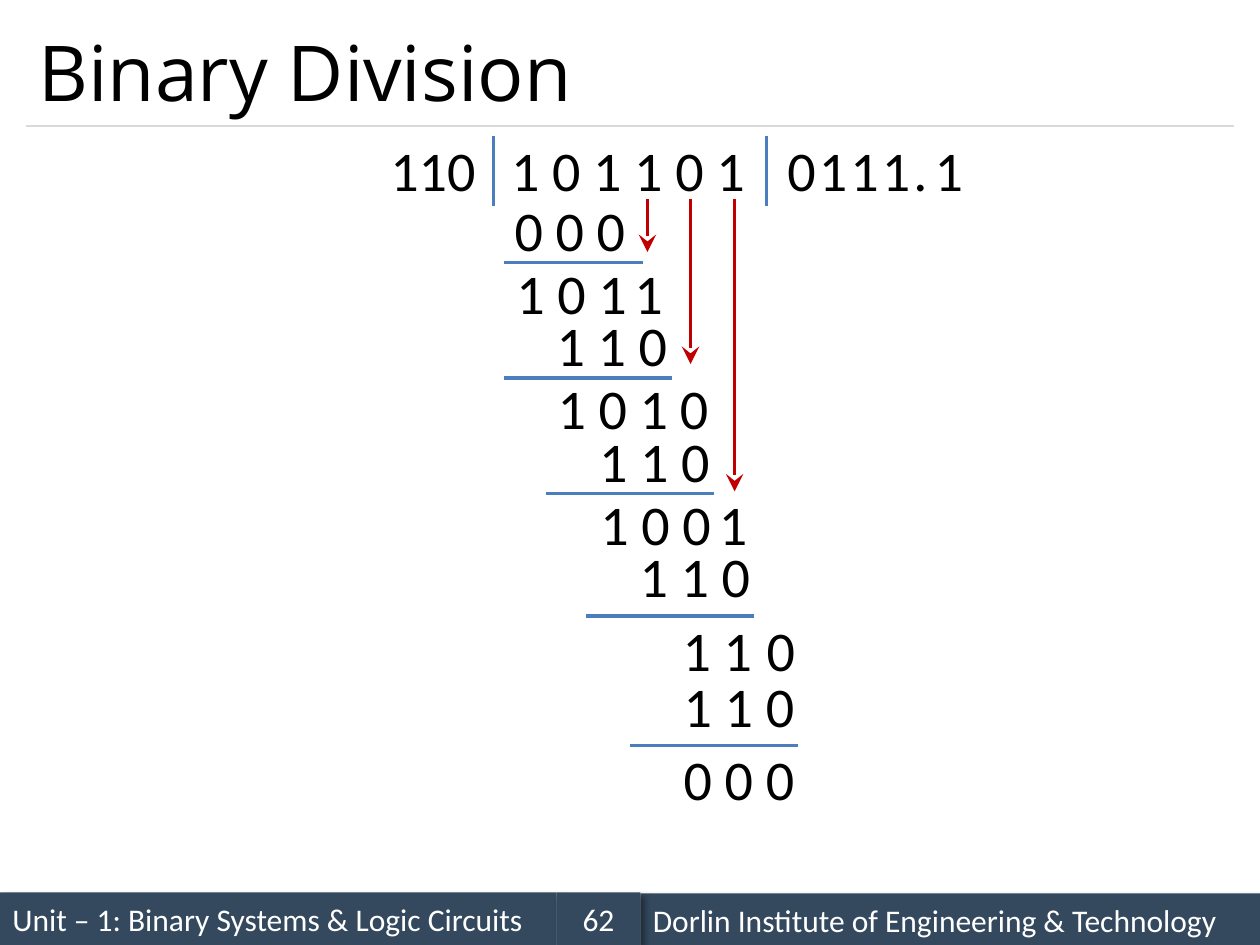
from lxml import etree
from pptx import Presentation
from pptx.dml.color import RGBColor
from pptx.enum import shapes, text
from pptx.oxml import ns
from pptx.util import Pt

COLORS = {"ink": "000000", "bar": "34495E", "light": "FFFFFF",
          "divider": "D9D9D9", "rule": "4B7EBC", "arrow": "C00000"}
DIGIT_WIDTH, DIGIT_STEP, DIGIT_HEIGHT = 31, 23.75, 46


def color(name):
    return RGBColor.from_string(COLORS[name])


def write(frame, words, size, font, ink):
    frame.text = words
    paragraph = frame.paragraphs[0]
    paragraph.font.size = Pt(size)
    paragraph.font.name = font
    paragraph.font.color.rgb = color(ink)
    return paragraph


def draw_line(slide, x1, y1, x2, y2, ink, width, arrow=False):
    line = slide.shapes.add_connector(
        shapes.MSO_CONNECTOR.STRAIGHT, Pt(x1), Pt(y1), Pt(x2), Pt(y2))
    line.line.color.rgb = color(ink)
    line.line.width = Pt(width)
    properties = line._element.spPr
    if arrow:
        etree.SubElement(properties.find(ns.qn("a:ln")), ns.qn("a:tailEnd"),
                         type="stealth", w="lg", len="lg")
    etree.SubElement(properties, ns.qn("a:effectLst"))


def add_digits(slide, left, top, digits, width):
    box = slide.shapes.add_textbox(Pt(left), Pt(top), Pt(width), Pt(DIGIT_HEIGHT))
    box.text_frame.word_wrap = False
    box.text_frame.auto_size = text.MSO_AUTO_SIZE.SHAPE_TO_FIT_TEXT
    write(box.text_frame, digits, 32, "Calibri", "ink")


def add_title(slide, left, top, width, height):
    title = slide.shapes.add_textbox(Pt(left), Pt(top), Pt(width), Pt(height))
    title.text_frame.word_wrap = True
    title.text_frame.vertical_anchor = text.MSO_ANCHOR.MIDDLE
    write(title.text_frame, "Binary Division", 44, "Open Sans", "ink")
    draw_line(slide, left, top + height, left + width, top + height, "divider", 0.75)


def add_division(slide, left, top):
    add_digits(slide, left, top + 2, "110", 64)
    for i, digit in enumerate("0111"):
        add_digits(slide, left + 226.8 + 18 * i, top + 2, digit, DIGIT_WIDTH)
    add_digits(slide, left + 298.8, top + 2, ".", 23)
    add_digits(slide, left + 311, top + 2, "1", DIGIT_WIDTH)

    steps = [
        (69, 2, "101101"), (71, 36, "000"),
        (72, 72, "101"), (139.5, 72, "1"), (95, 102, "110"),
        (95.5, 138, "101"), (165.4, 138, "0"), (119.3, 168, "110"),
        (120, 204, "100"), (187.7, 204, "1"), (142.4, 234, "110"),
        (167, 276, "11"), (215, 276, "0"), (167.6, 308, "110"),
        (167.6, 350, "000"),
    ]
    for x, y, digits in steps:
        add_digits(slide, left + x, top + y, " ".join(digits),
                   DIGIT_WIDTH + DIGIT_STEP * (len(digits) - 1))

    for x in (66, 222):
        draw_line(slide, left + x, top + 6, left + x, top + 45.6, "rule", 2)
    for start, end, y in [(72, 151.2, 78), (72, 168, 144), (96, 192, 210),
                          (119, 215, 280), (144, 240, 354)]:
        draw_line(slide, left + start, top + y, left + end, top + y, "rule", 2)
    for x, end in [(154, 72), (178.6, 136), (203.8, 208.8)]:
        draw_line(slide, left + x, top + 42, left + x, top + end, "arrow", 2, True)


def add_shadow(shape):
    shape.shadow.inherit = False
    effects = shape._element.spPr.find(ns.qn("a:effectLst"))
    shadow = etree.SubElement(effects, ns.qn("a:outerShdw"), blurRad=str(Pt(4)),
                              dist=str(Pt(3)), dir="2700000", algn="tl", rotWithShape="0")
    shade = etree.SubElement(shadow, ns.qn("a:srgbClr"), val=COLORS["ink"])
    etree.SubElement(shade, ns.qn("a:alpha"), val="40000")


def add_footer(slide, left, top, height):
    cells = [
        (0, 0, 318, "Unit – 1: Binary Systems & Logic Circuits", text.PP_ALIGN.LEFT),
        (366, 0.5, 354, "Dorlin Institute of Engineering & Technology", text.PP_ALIGN.LEFT),
        (318, 0, 48, "62", text.PP_ALIGN.CENTER),
    ]
    for x, y, width, words, alignment in cells:
        cell = slide.shapes.add_shape(shapes.MSO_SHAPE.RECTANGLE, Pt(left + x),
                                      Pt(top + y), Pt(width), Pt(height))
        cell.fill.solid()
        cell.fill.fore_color.rgb = color("bar")
        cell.line.fill.background()
        add_shadow(cell)
        cell.text_frame.word_wrap = True
        cell.text_frame.vertical_anchor = text.MSO_ANCHOR.MIDDLE
        write(cell.text_frame, words, 18, "Calibri", "light").alignment = alignment


deck = Presentation()
deck.slide_width, deck.slide_height = Pt(720), Pt(540)
division_slide = deck.slides.add_slide(deck.slide_layouts[6])
add_footer(division_slide, 0, 510, 30)
add_title(division_slide, 15, 9, 690, 63)
add_division(division_slide, 216, 72)
deck.save("out.pptx")
